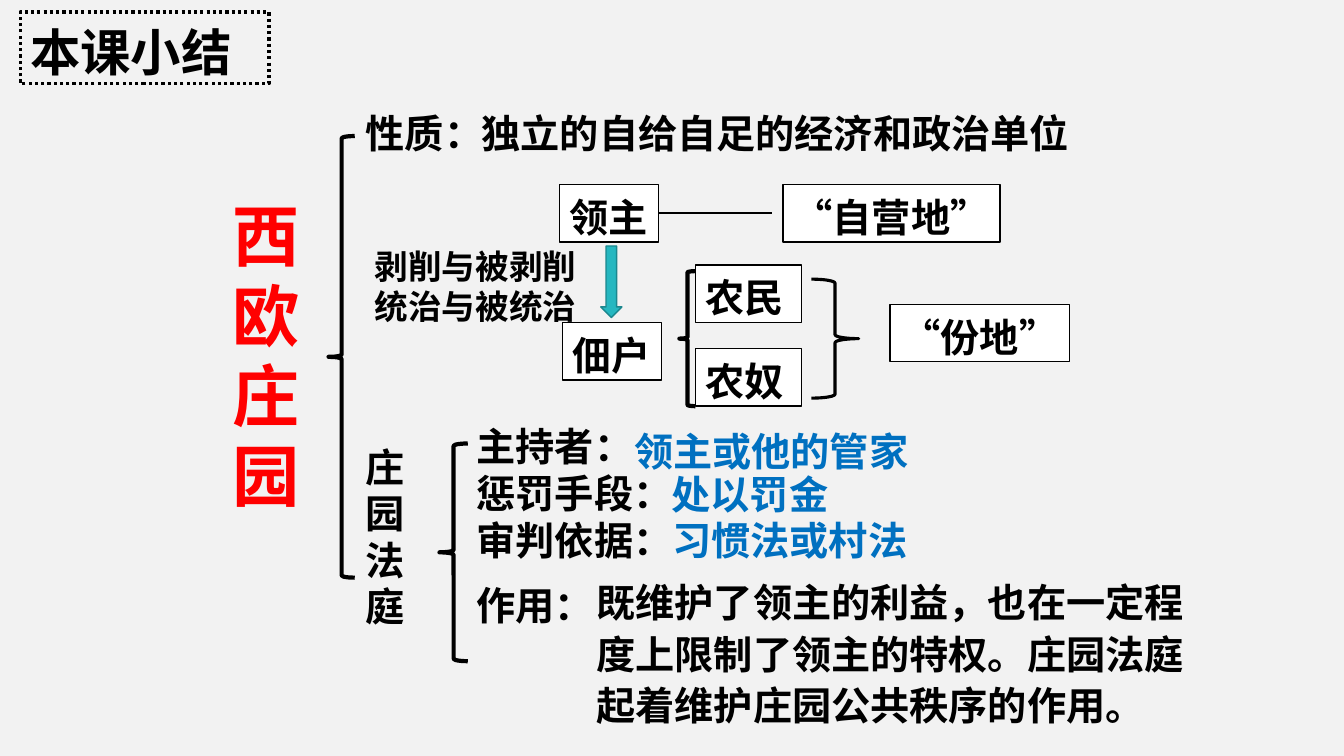
import pptx
import pptx.util
import pptx.dml.color
import pptx.enum.dml
import pptx.enum.shapes
import pptx.enum.text
import pptx.oxml
import pptx.oxml.ns

Pt = pptx.util.Pt
SHAPE = pptx.enum.shapes.MSO_SHAPE
CENTER = pptx.enum.text.PP_ALIGN.CENTER
TYPEFACE = "Noto Sans CJK SC"
LINE_HEIGHT = 1.19
BLACK, WHITE, RED, BLUE = "000000", "FFFFFF", "FF0000", "0070C0"


def color(value):
    return pptx.dml.color.RGBColor.from_string(value)


def write(shape, lines, size=28, ink=BLACK, spacings=(1,), align=None, wrap=True):
    frame = shape.text_frame
    frame.word_wrap = wrap
    frame.auto_size = pptx.enum.text.MSO_AUTO_SIZE.NONE
    frame.vertical_anchor = pptx.enum.text.MSO_ANCHOR.TOP
    frame.margin_top = Pt(3.6 + size * 0.1)
    frame.margin_bottom = 0
    frame.text = "\n".join(lines)
    for index, paragraph in enumerate(frame.paragraphs):
        spacing = spacings[min(index, len(spacings) - 1)]
        paragraph.line_spacing = Pt(round(size * LINE_HEIGHT * spacing, 1))
        paragraph.alignment = align or pptx.enum.text.PP_ALIGN.LEFT
        font = paragraph.font
        font.size = Pt(size)
        font.bold = True
        font.color.rgb = color(ink)
        font.name = TYPEFACE
        east_asian = pptx.oxml.parse_xml(
            f'<a:ea {pptx.oxml.ns.nsdecls("a")} typeface="{TYPEFACE}"/>')
        font._element.append(east_asian) if hasattr(font, "_element") else font._rPr.append(east_asian)


def add_label(slide, box, *lines, **style):
    write(slide.shapes.add_textbox(*map(Pt, box)), lines, **style)


def add_outline(slide, kind, box, width, fill=None, line=BLACK):
    shape = slide.shapes.add_shape(kind, *map(Pt, box))
    shape.shadow.inherit = False
    if fill:
        shape.fill.solid()
        shape.fill.fore_color.rgb = color(fill)
    else:
        shape.fill.background()
    shape.line.color.rgb = color(line)
    shape.line.width = Pt(width)
    return shape


def add_card(slide, left, top, width, text, **style):
    card = add_outline(slide, SHAPE.RECTANGLE, (left, top, width, 41), 1, WHITE)
    write(card, [text], **style)


def add_link(slide, start, end, width):
    link = slide.shapes.add_connector(
        pptx.enum.shapes.MSO_CONNECTOR.STRAIGHT, *map(Pt, start + end))
    link.line.color.rgb = color(BLACK)
    link.line.width = Pt(width)
    link._element.spPr.append(
        pptx.oxml.parse_xml(f'<a:effectLst {pptx.oxml.ns.nsdecls("a")}/>'))


def add_title(slide):
    title = add_outline(slide, SHAPE.RECTANGLE, (14.4, 8.6, 177.8, 51.1), 2.25)
    title.line.dash_style = pptx.enum.dml.MSO_LINE.ROUND_DOT
    write(title, ["本课小结"], size=36)


def add_estate(slide):
    add_label(slide, (159, 131, 76.3, 240), "西欧庄园", size=48, ink=RED)
    add_outline(slide, SHAPE.LEFT_BRACE, (234.7, 97.2, 18.7, 315.4), 3)
    add_label(slide, (254.2, 72, 101, 41), "性质：")
    add_label(slide, (337, 72, 465, 41), "独立的自给自足的经济和政治单位")


def add_classes(slide):
    add_outline(slide, SHAPE.LEFT_BRACE, (485.3, 193.7, 11.5, 96.5), 3)
    add_card(slide, 399.6, 131.8, 70.6, "领主", align=CENTER, wrap=False)
    add_card(slide, 401.8, 230.4, 70.6, "佃户", align=CENTER, wrap=False)
    add_card(slide, 496.8, 189.4, 75.6, "农民")
    add_card(slide, 496.8, 249.1, 75.6, "农奴")
    add_card(slide, 559.4, 131.8, 154.8, "“自营地”", align=CENTER, wrap=False)
    add_card(slide, 635.8, 217.4, 128.2, "“份地”", align=CENTER)
    add_outline(slide, SHAPE.DOWN_ARROW, (429.1, 175.7, 15.1, 51.1), 1, "25B7C0", "1B878E")
    add_link(slide, (470.9, 151.9), (551.5, 151.9), 1.5)
    add_outline(slide, SHAPE.RIGHT_BRACE, (579.6, 199.4, 33.8, 85), 2.25)
    add_label(slide, (260.6, 169.9, 184.3, 65.5), "剥削与被剥削", "统治与被统治", size=24)


def add_court(slide):
    add_label(slide, (254.2, 310.3, 60.5, 142.6), "庄园法庭")
    add_outline(slide, SHAPE.LEFT_BRACE, (313.9, 316.8, 20.2, 155.5), 3)
    add_label(slide, (333.4, 295.9, 156.5, 156.2),
              "主持者：", "惩罚手段：", "审判依据：", "作用：", spacings=(1, 1, 1, 1.4))
    answers = [
        (445, 295.9, 211.7, "领主或他的管家"),
        (472.3, 326.2, 126.7, "处以罚金"),
        (472.3, 359.3, 183.6, "习惯法或村法"),
    ]
    for left, top, width, answer in answers:
        add_label(slide, (left, top, width, 44.6), answer,
                  ink=BLUE, spacings=(1.1,), align=CENTER, wrap=False)
    add_label(slide, (419, 403.9, 460.8, 118.8),
              "既维护了领主的利益，也在一定程度上限制了领主的特权。庄园法庭起着维护庄园公共秩序的作用。",
              spacings=(1.1,))


def main():
    deck = pptx.Presentation()
    deck.slide_width, deck.slide_height = Pt(960), Pt(540)
    slide = deck.slides.add_slide(deck.slide_layouts[6])
    slide.background.fill.solid()
    slide.background.fill.fore_color.rgb = color("F2F2F2")
    add_title(slide)
    add_estate(slide)
    add_classes(slide)
    add_court(slide)
    deck.save("out.pptx")


if __name__ == "__main__":
    main()
